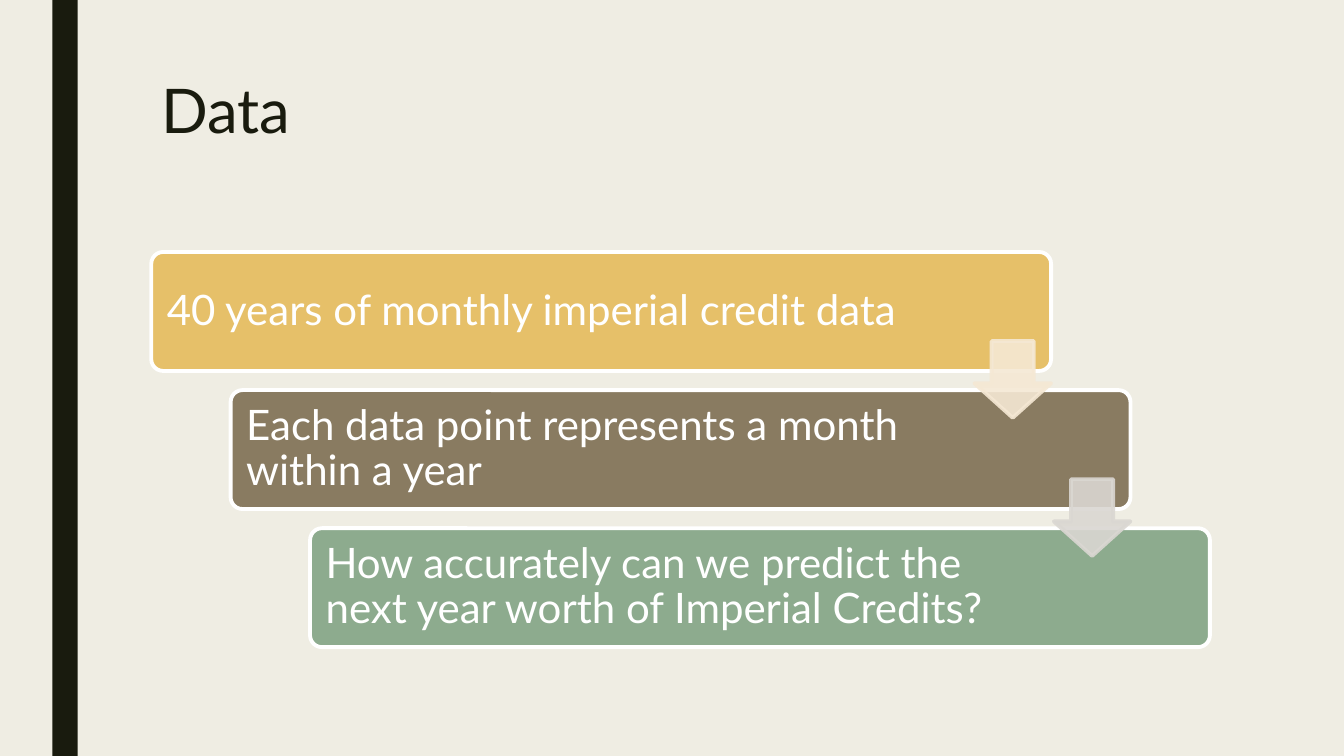
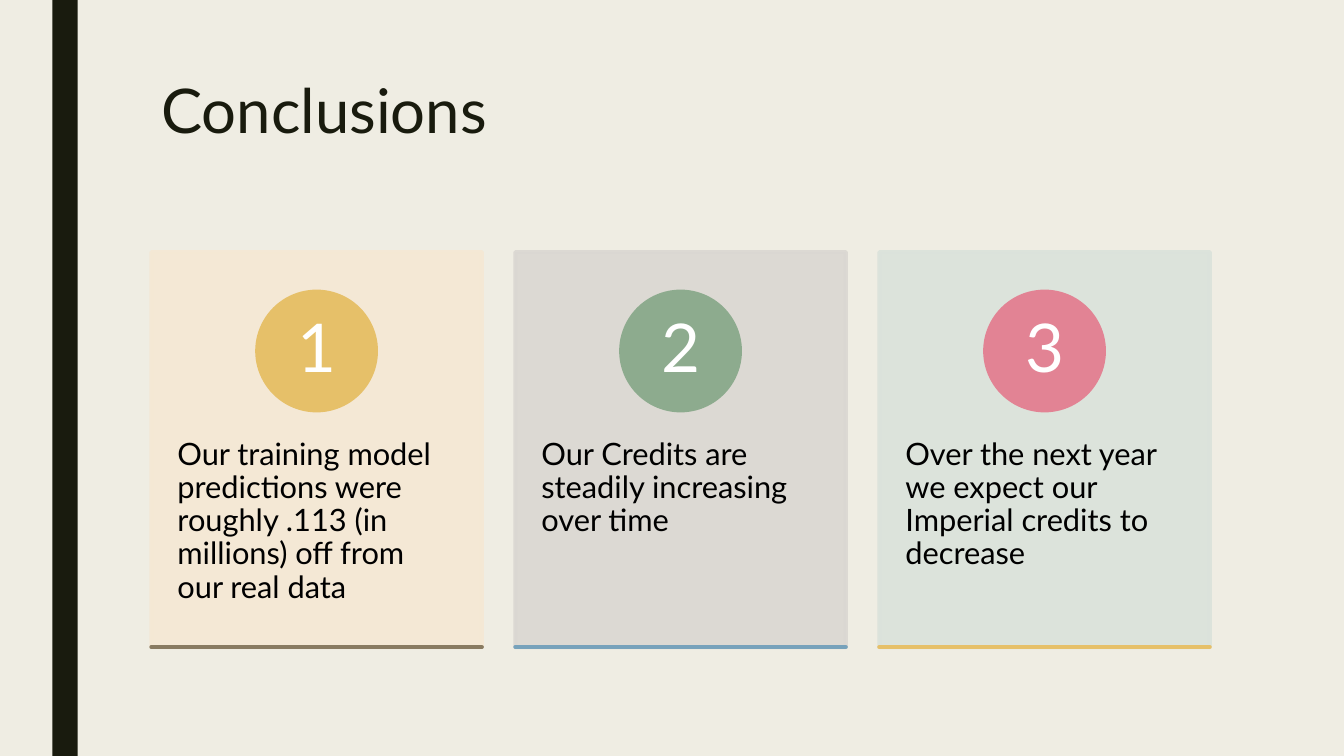
from dataclasses import dataclass

from lxml.etree import SubElement
from pptx import Presentation
from pptx.dml.color import RGBColor
from pptx.enum.shapes import MSO_CONNECTOR as Connector
from pptx.enum.shapes import MSO_SHAPE as Preset
from pptx.enum.text import MSO_ANCHOR as Anchor
from pptx.enum.text import MSO_AUTO_SIZE as AutoSize
from pptx.enum.text import PP_ALIGN as Align
from pptx.oxml.ns import qn
from pptx.shapes.autoshape import Shape
from pptx.slide import Slide, SlideLayout
from pptx.util import Inches, Pt

COLORS = {
    "page": "EFEDE3",
    "ink": "191B0E",
    "black": "000000",
    "white": "FFFFFF",
    "gold": "E6C069",
    "brown": "897B61",
    "green": "8DAB8E",
    "blue": "77A2BB",
    "rose": "E28394",
    "pale gold": "F5E8D4",
    "pale brown": "DAD7D2",
    "pale green": "DBE2DB",
}
FONT = "Lato"
LINE_WIDTH = 2.75
PAGE_WIDTH, PAGE_HEIGHT = 13.33, 7.5

LEFT, TOP, WIDTH, HEIGHT = 1.5, 2.5, 10.5, 3.92
COUNT = 3
COLUMN_GAP = 0.33
COLUMN_WIDTH = (WIDTH - (COUNT - 1) * COLUMN_GAP) / COUNT
ROW_GAP = 0.19
ROW_HEIGHT = (HEIGHT - (COUNT - 1) * ROW_GAP) / COUNT
STEP_WIDTH = WIDTH * 0.85
STEP_SHIFT = (WIDTH - STEP_WIDTH) / (COUNT - 1)
ARROW_SIZE = 0.76
CIRCLE_SIZE = 1.18


@dataclass(frozen=True)
class Frame:
    left: float
    top: float
    width: float
    height: float


@dataclass(frozen=True)
class Step:
    text: str
    color: str
    right_inset: float
    arrow: str | None = None


@dataclass(frozen=True)
class Card:
    text: str
    fill: str
    circle: str
    rule: str


STEPS = (
    Step("40 years of monthly imperial credit data", "gold", 1.32, "pale gold"),
    Step("Each data point represents a month within a year", "brown", 1.68, "pale brown"),
    Step("How accurately can we predict the next year worth of Imperial Credits?", "green", 1.68),
)
CARDS = (
    Card(
        "Our training model predictions were roughly .113 (in millions) off from our real data",
        "pale gold", "gold", "brown",
    ),
    Card("Our Credits are steadily increasing over time", "pale brown", "green", "blue"),
    Card(
        "Over the next year we expect our Imperial credits to decrease",
        "pale green", "rose", "gold",
    ),
)


def color(name: str) -> RGBColor:
    return RGBColor.from_string(COLORS[name])


def add_box(slide: Slide, preset: Preset, frame: Frame, fill: str, line: str | None = None,
            opacity: int = 100) -> Shape:
    box = slide.shapes.add_shape(
        preset, Inches(frame.left), Inches(frame.top), Inches(frame.width), Inches(frame.height)
    )
    box.shadow.inherit = False
    box.fill.solid()
    box.fill.fore_color.rgb = color(fill)
    if line:
        box.line.color.rgb = color(line)
        box.line.width = Pt(LINE_WIDTH)
    else:
        box.line.fill.background()
    if opacity < 100:
        for tint in list(box.element.spPr.iter(qn("a:srgbClr"))):
            SubElement(tint, qn("a:alpha")).set("val", str(opacity * 1000))
    return box


def write(box: Shape, text: str, size: int, ink: str, insets: tuple[float, float, float, float],
          anchor: Anchor = Anchor.MIDDLE, align: Align = Align.LEFT) -> None:
    frame = box.text_frame
    frame.text = text
    frame.word_wrap = True
    frame.auto_size = AutoSize.NONE
    frame.vertical_anchor = anchor
    frame.margin_left, frame.margin_top, frame.margin_right, frame.margin_bottom = map(Inches, insets)
    para = frame.paragraphs[0]
    para.alignment = align
    para.line_spacing = 0.9
    para.font.name = FONT
    para.font.size = Pt(size)
    para.font.color.rgb = color(ink)


def add_rule(slide: Slide, left: float, top: float, width: float, tint: str) -> None:
    rule = slide.shapes.add_connector(
        Connector.STRAIGHT, Inches(left), Inches(top), Inches(left + width), Inches(top)
    )
    rule.line.color.rgb = color(tint)
    rule.line.width = Pt(LINE_WIDTH)
    properties = rule.element.spPr
    properties.find(qn("a:ln")).set("cap", "rnd")
    SubElement(properties, qn("a:effectLst"))


def style_layout(layout: SlideLayout, slide: Slide) -> None:
    layout.background.fill.solid()
    layout.background.fill.fore_color.rgb = color("page")
    band = add_box(slide, Preset.RECTANGLE, Frame(0.52, 0, 0.25, PAGE_HEIGHT), "ink")
    band.element.nvSpPr.cNvPr.set("id", "99")
    layout.shapes.element.insert(2, band.element)


def set_title(slide: Slide, text: str) -> None:
    title = slide.shapes.title
    title.left, title.top = Inches(LEFT), Inches(0.75)
    title.width, title.height = Inches(WIDTH), Inches(1.62)
    write(title, text, 44, "ink", (0.1, 0.05, 0.1, 0.05), Anchor.TOP)


def draw_steps(slide: Slide) -> None:
    for index, step in enumerate(STEPS):
        frame = Frame(LEFT + index * STEP_SHIFT, TOP + index * (ROW_HEIGHT + ROW_GAP),
                      STEP_WIDTH, ROW_HEIGHT)
        box = add_box(slide, Preset.ROUNDED_RECTANGLE, frame, step.color, "white")
        box.adjustments[0] = 0.1
        write(box, step.text, 30, "white", (0.12, 0.12, step.right_inset, 0.12))
    for index, step in enumerate(STEPS):
        if step.arrow:
            right = LEFT + index * STEP_SHIFT + STEP_WIDTH
            top = TOP + index * (ROW_HEIGHT + ROW_GAP) + ROW_HEIGHT * 0.75
            frame = Frame(right - ARROW_SIZE, top, ARROW_SIZE, ARROW_SIZE)
            arrow = add_box(slide, Preset.DOWN_ARROW, frame, step.arrow, step.arrow, 90)
            arrow.adjustments[0] = 0.55
            arrow.adjustments[1] = 0.45


def draw_cards(slide: Slide) -> None:
    for index, card in enumerate(CARDS):
        left = LEFT + index * (COLUMN_WIDTH + COLUMN_GAP)
        frame = Frame(left, TOP, COLUMN_WIDTH, HEIGHT)
        box = add_box(slide, Preset.RECTANGLE, frame, card.fill, card.fill, 90)
        write(box, card.text, 22, "black", (0.26, 1.85, 0.26, 0.05), Anchor.TOP)
        frame = Frame(left + (COLUMN_WIDTH - CIRCLE_SIZE) / 2, TOP + HEIGHT * 0.1,
                      CIRCLE_SIZE, CIRCLE_SIZE)
        circle = add_box(slide, Preset.OVAL, frame, card.circle, card.circle)
        write(circle, str(index + 1), 48, "white", (0.09, 0.01, 0.09, 0.01), align=Align.CENTER)
        add_rule(slide, left, TOP + HEIGHT, COLUMN_WIDTH, card.rule)


def main() -> None:
    deck = Presentation()
    deck.slide_width, deck.slide_height = Inches(PAGE_WIDTH), Inches(PAGE_HEIGHT)
    layout = deck.slide_layouts.get_by_name("Title Only")
    pages = (("Data", draw_steps), ("Conclusions", draw_cards))
    for index, (title, draw) in enumerate(pages):
        slide = deck.slides.add_slide(layout)
        if index == 0:
            style_layout(layout, slide)
        set_title(slide, title)
        draw(slide)
    deck.save("out.pptx")


if __name__ == "__main__":
    main()
